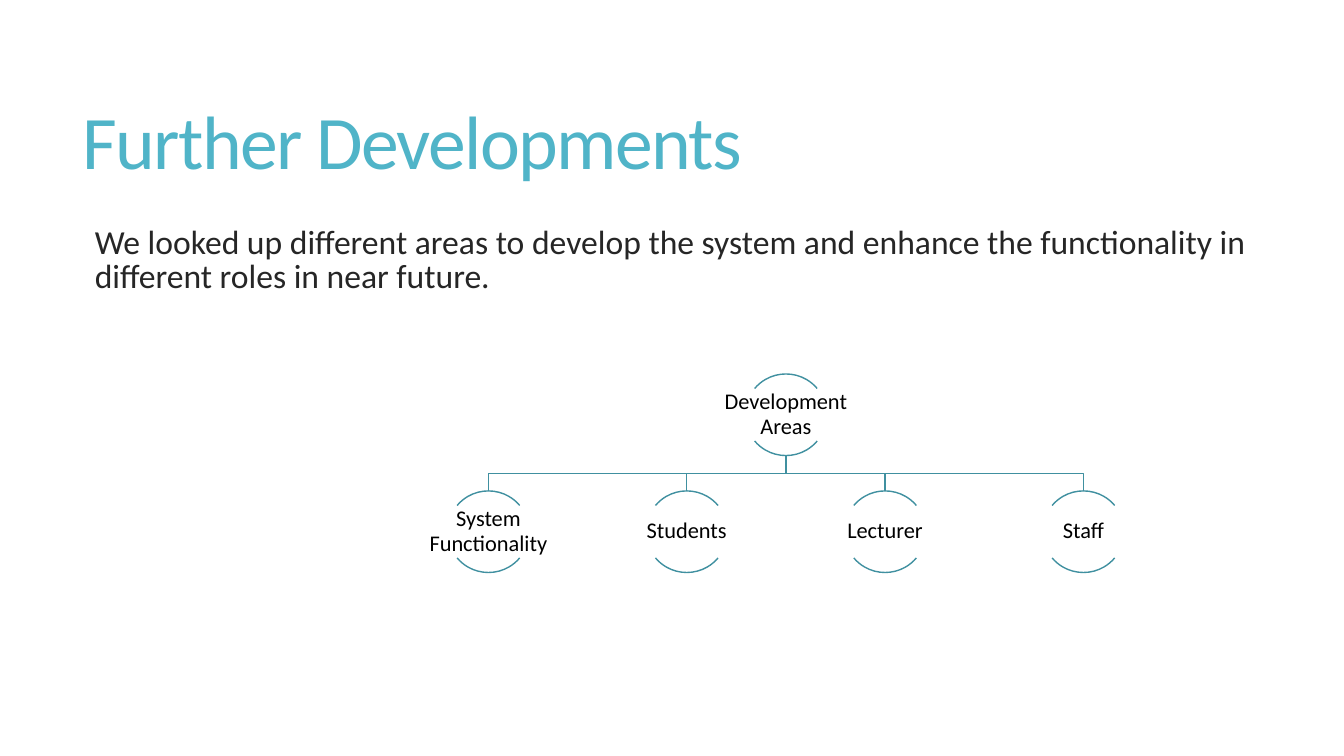
import pptx
import pptx.util
import pptx.dml.color
import pptx.enum.shapes
import pptx.enum.text

Inches, Pt = pptx.util.Inches, pptx.util.Pt
ANCHOR, ALIGN = pptx.enum.text.MSO_ANCHOR, pptx.enum.text.PP_ALIGN

THEME = {
    "font": "Calibri",
    "title": {"size": 54, "color": "50B4C8"},
    "body": {"size": 24, "color": "262626"},
    "node": {"size": 16, "color": "000000"},
    "line": {"width": 1, "color": "4090A0"},
}


def add_text(shapes, box, text, style, margins, para, anchor):
    """Add a wrapped text box in a theme style and return its run."""
    sp = shapes.add_textbox(*map(Inches, box))
    tf = sp.text_frame
    tf.word_wrap = True
    tf.vertical_anchor = anchor
    for side, gap in zip(("left", "top", "right", "bottom"), margins):
        setattr(tf, f"margin_{side}", Inches(gap))
    p = tf.paragraphs[0]
    for name, value in para.items():
        setattr(p, name, value)
    r = p.add_run()
    r.text = text
    r.font.name = THEME["font"]
    r.font.size = Pt(THEME[style]["size"])
    r.font.color.rgb = pptx.dml.color.RGBColor.from_string(THEME[style]["color"])
    return r


def outline(sp):
    """Give a shape the diagram line, with no fill or shadow."""
    sp.shadow.inherit = False
    sp.fill.background()
    sp.line.width = Pt(THEME["line"]["width"])
    sp.line.color.rgb = pptx.dml.color.RGBColor.from_string(THEME["line"]["color"])


prs = pptx.Presentation()
prs.slide_width, prs.slide_height = Inches(13.33), Inches(7.5)
s = prs.slides.add_slide(prs.slide_layouts[6])

# Heading and introduction
r = add_text(s.shapes, (0.72, 0.55, 11.78, 1.81), "Further Developments", "title",
             (0.1, 0.05, 0.1, 0.05), {"line_spacing": 0.85}, ANCHOR.MIDDLE)
r.font._element.set("spc", "-120")
add_text(s.shapes, (0.74, 2.2, 11.76, 4.12),
         "We looked up different areas to develop the system and enhance "
         "the functionality in different roles in near future.",
         "body", (0.2, 0.05, 0.1, 0.05),
         {"line_spacing": 0.85, "space_before": Pt(13)}, ANCHOR.TOP)

# Tree layout: one root centred over equally spaced areas
AREAS = ["System Functionality", "Students", "Lecturer", "Staff"]
DIAMETER, STEP = 0.81, 1.967
ROOT_X, ROOT_Y, AREA_Y = 7.795, 3.71, 4.87
LABEL_W, LABEL_H = 1.63, 0.52
ARCS = [(220, 320), (40, 140)]  # top and bottom, in degrees

centres = [ROOT_X + (i - (len(AREAS) - 1) / 2) * STEP for i in range(len(AREAS))]
nodes = [("Development Areas", ROOT_X, ROOT_Y)]
nodes += [(area, x, AREA_Y) for area, x in zip(AREAS, centres)]
tree = s.shapes.add_group_shape().shapes

# Elbow lines from the root to each area
root_bottom = ROOT_Y + DIAMETER
bend_y = (root_bottom + AREA_Y) / 2
for x in reversed(centres):
    elbow = tree.build_freeform(Inches(ROOT_X), Inches(root_bottom))
    points = [(ROOT_X, bend_y), (x, bend_y), (x, AREA_Y)]
    elbow.add_line_segments([(Inches(px), Inches(py)) for px, py in points], close=False)
    outline(elbow.convert_to_shape())

# Each node is a label between two arcs of a circle
for label, x, y in nodes:
    for angles in ARCS:
        sp = tree.add_shape(pptx.enum.shapes.MSO_SHAPE.ARC, Inches(x - DIAMETER / 2),
                            Inches(y), Inches(DIAMETER), Inches(DIAMETER))
        for i, angle in enumerate(angles):
            sp.adjustments[i] = angle * 0.6  # 60000 units per degree, scaled by 100000
        outline(sp)
    box = (x - LABEL_W / 2, y + (DIAMETER - LABEL_H) / 2, LABEL_W, LABEL_H)
    add_text(tree, box, label, "node", (0.01,) * 4,
             {"line_spacing": 0.9, "alignment": ALIGN.CENTER}, ANCHOR.MIDDLE)

prs.save("out.pptx")
